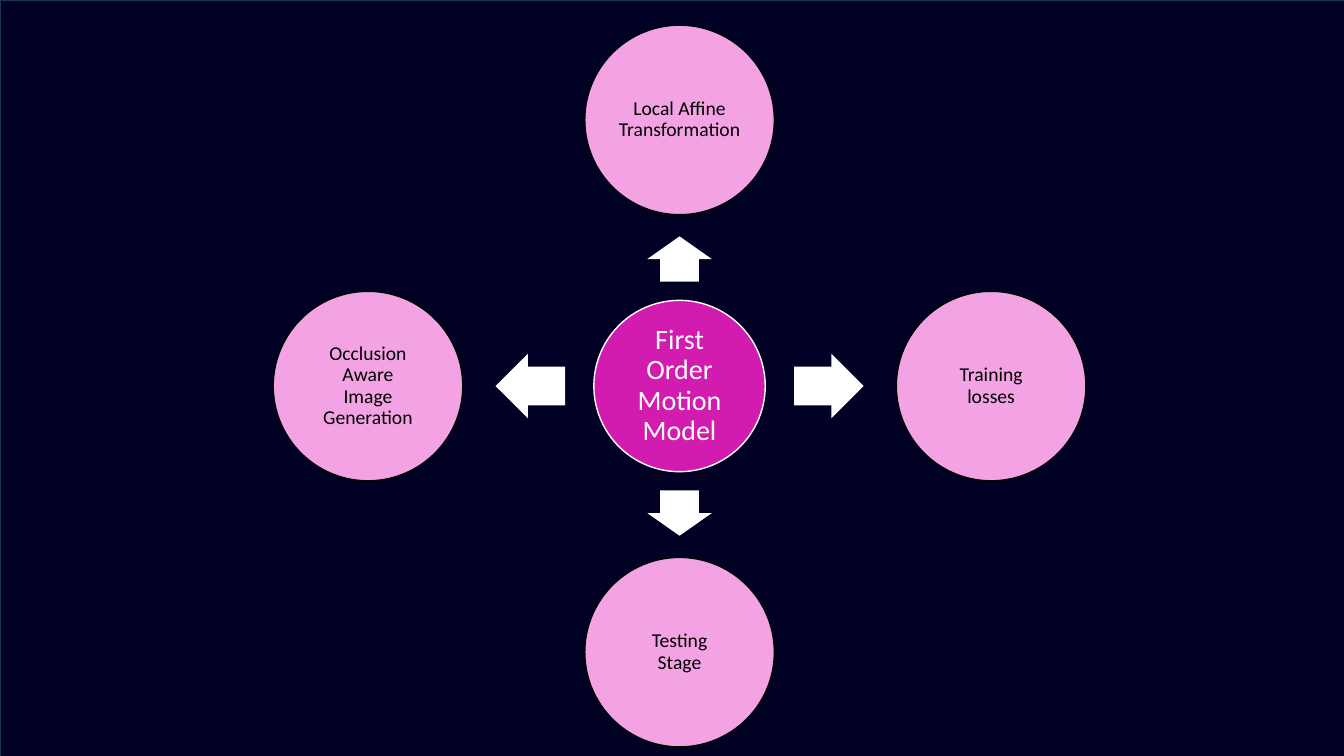
from pptx import Presentation
from pptx.dml.color import RGBColor
from pptx.enum.shapes import MSO_SHAPE as Shape
from pptx.enum.text import MSO_ANCHOR as Anchor, PP_ALIGN as Align
from pptx.util import Inches, Pt

HUB = "First Order Motion Model"
SPOKES = [
    ("Local Affine Transformation", (0, -1), 0.04),
    ("Training losses", (1, 0), 0.16),
    ("Testing Stage", (0, 1), 0.16),
    ("Occlusion Aware Image Generation", (-1, 0), 0.16),
]
COLORS = {"night": "010125", "edge": "1E3256", "hub": "D21CAF",
          "spoke": "F3A3E4", "white": "FFFFFF", "black": "000000"}

WIDTH, HEIGHT = 13.33, 7.5
CENTER_X, CENTER_Y = 6.74, 3.83
REACH_X, REACH_Y = 3.09, 2.64
ARROW_REACH_X, ARROW_REACH_Y = 1.48, 1.26
HUB_SIZE, SPOKE_SIZE = 1.7, 1.88
ARROW_LONG, ARROW_SHORT, ARROW_THICK = 0.69, 0.45, 0.64


def color(name):
    return RGBColor.from_string(COLORS[name])


def add_shape(s, kind, cx, cy, w, h, fill, line=None):
    sp = s.shapes.add_shape(kind, Inches(cx - w / 2), Inches(cy - h / 2),
                            Inches(w), Inches(h))
    sp.shadow.inherit = False
    sp.fill.solid()
    sp.fill.fore_color.rgb = color(fill)
    if line:
        sp.line.color.rgb = color(line)
        sp.line.width = Pt(1)
    else:
        sp.line.fill.background()
    return sp


def add_circle(s, text, cx, cy, size, fill, line, ink, points, inset):
    sp = add_shape(s, Shape.OVAL, cx, cy, size, size, fill, line)
    tf = sp.text_frame
    tf.word_wrap = True
    tf.vertical_anchor = Anchor.MIDDLE
    tf.margin_left = tf.margin_right = Inches(inset)
    tf.margin_top = tf.margin_bottom = Inches(inset)
    p = tf.paragraphs[0]
    p.text = text
    p.alignment = Align.CENTER
    p.line_spacing = 0.9
    p.font.name = "Calibri"
    p.font.size = Pt(points)
    p.font.color.rgb = color(ink)


def add_arrow(s, dx, dy):
    length = ARROW_LONG if dx else ARROW_SHORT
    sp = add_shape(s, Shape.RIGHT_ARROW, CENTER_X + dx * ARROW_REACH_X,
                   CENTER_Y + dy * ARROW_REACH_Y, length, ARROW_THICK, "white")
    sp.adjustments[0] = 0.6
    sp.adjustments[1] = 0.5
    sp.rotation = {(1, 0): 0, (0, 1): 90, (-1, 0): 180, (0, -1): 270}[dx, dy]


def main():
    prs = Presentation()
    prs.slide_width, prs.slide_height = Inches(WIDTH), Inches(HEIGHT)
    s = prs.slides.add_slide(prs.slide_layouts[6])
    back_w, back_h = WIDTH + 0.16, HEIGHT + 0.15
    add_shape(s, Shape.RECTANGLE, back_w / 2, back_h / 2, back_w, back_h,
              "night", "edge")
    add_circle(s, HUB, CENTER_X, CENTER_Y, HUB_SIZE, "hub", "white", "white",
               20, 0.03)
    for text, (dx, dy), inset in SPOKES:
        add_arrow(s, dx, dy)
        add_circle(s, text, CENTER_X + dx * REACH_X, CENTER_Y + dy * REACH_Y,
                   SPOKE_SIZE, "spoke", "black", "black", 14, inset)
    prs.save("out.pptx")


if __name__ == "__main__":
    main()
